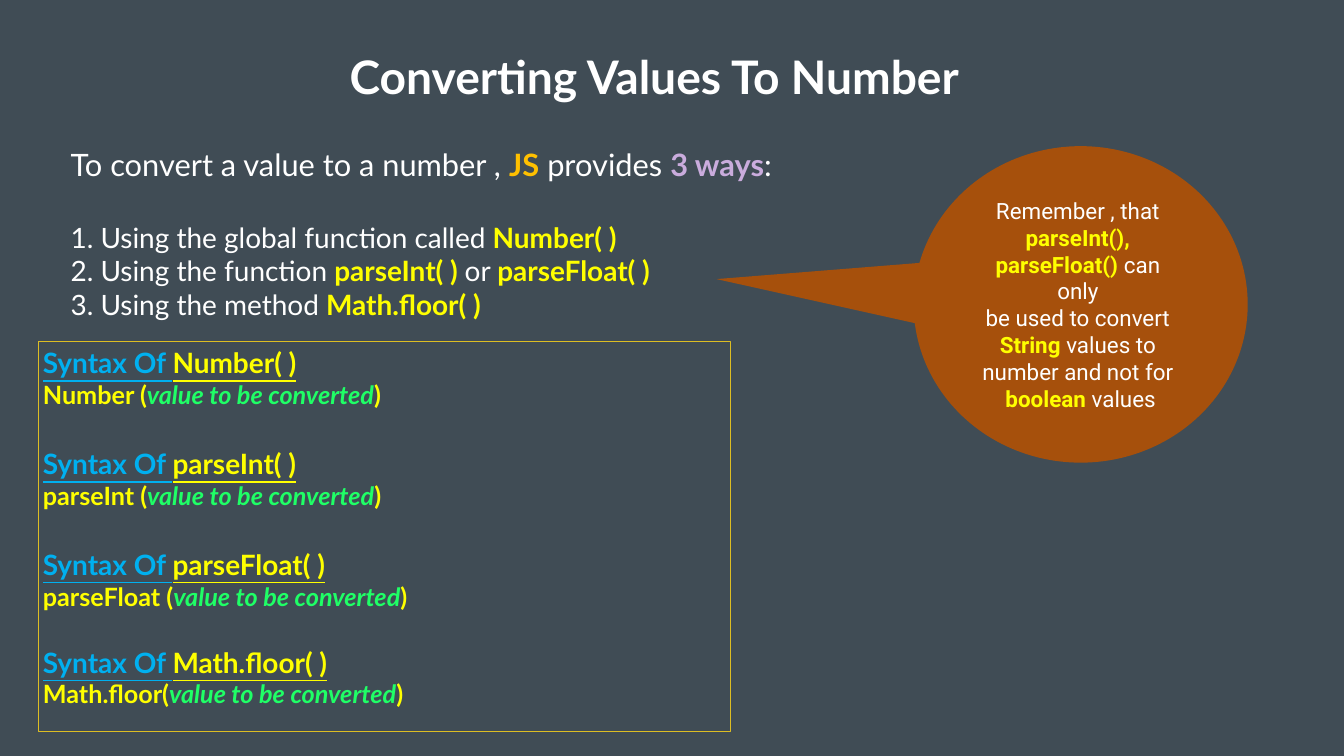
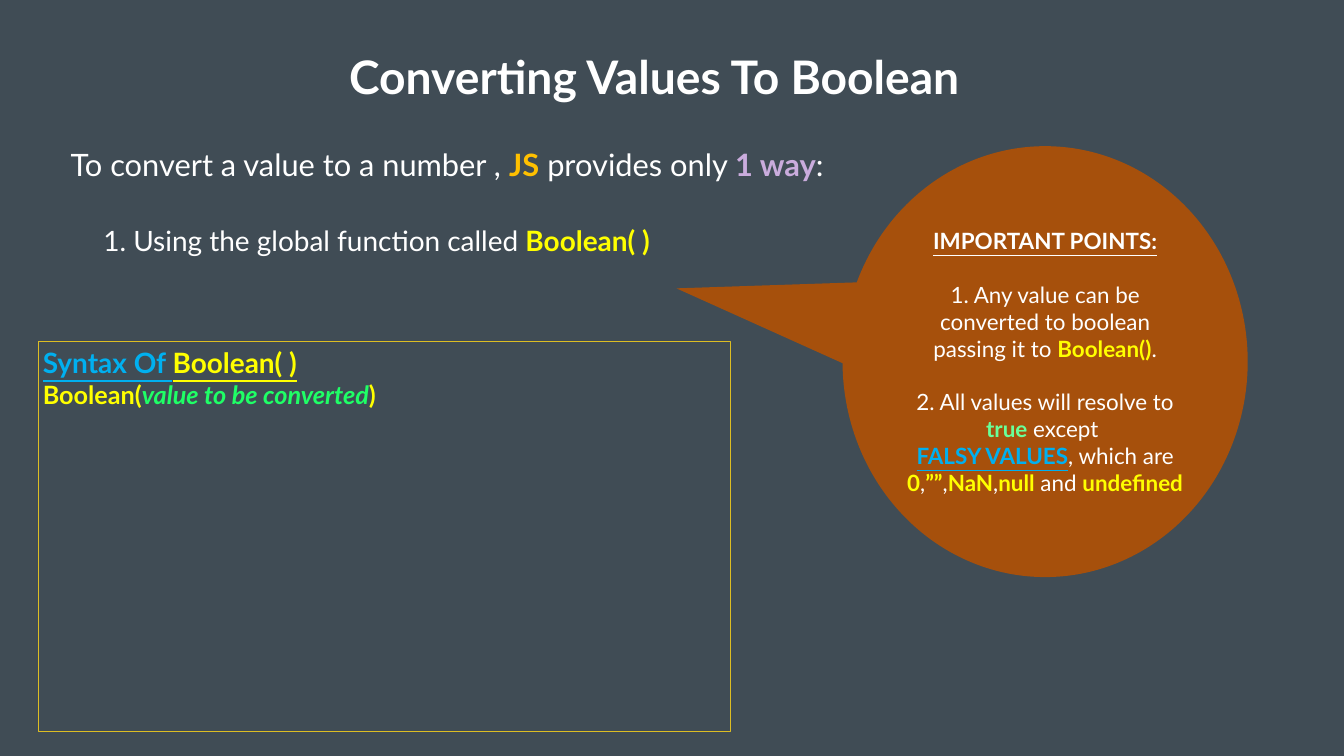
from pptx import Presentation
from pptx.dml.color import RGBColor
from pptx.enum.shapes import MSO_SHAPE
from pptx.enum.text import MSO_ANCHOR, MSO_AUTO_SIZE, PP_ALIGN
from pptx.oxml.ns import qn
from pptx.util import Inches, Pt

RECTANGLE, CALLOUT = MSO_SHAPE.RECTANGLE, MSO_SHAPE.OVAL_CALLOUT
TOP, MIDDLE = MSO_ANCHOR.TOP, MSO_ANCHOR.MIDDLE
LEFT, CENTER = PP_ALIGN.LEFT, PP_ALIGN.CENTER
NO_AUTOFIT = MSO_AUTO_SIZE.NONE

COLOURS = {
    "slate": "404C55", "white": "FFFFFF", "amber": "FFC000", "lilac": "CAACDD",
    "yellow": "FFFF00", "blue": "00B0F0", "green": "1FFF66", "mint": "69FF99",
    "gold": "DCBD23", "rust": "A6500C",
}

# Text styles: colour name and font attributes
STYLES = {
    "plain": ("white", {"bold": False}),
    "strong": ("white", {"bold": True}),
    "heading": ("white", {"bold": True, "underline": True}),
    "language": ("amber", {"bold": True}),
    "count": ("lilac", {"bold": True}),
    "code": ("yellow", {"bold": True}),
    "code heading": ("yellow", {"bold": True, "underline": True}),
    "label": ("blue", {"bold": True, "underline": True}),
    "argument": ("green", {"bold": True, "italic": True}),
    "truth": ("mint", {"bold": True}),
}

PAGES = [
    {
        "title": "Converting Values To Number",
        "intro_height": 5.05,
        "provides": " provides ",
        "ways": "3 ways",
        "list_gap": 53,
        "list_indent": 0,
        "methods": [
            [("1. Using the global function called ", "plain"), ("Number( )", "code")],
            [("2. Using the function ", "plain"), ("parseInt( ) ", "code"),
             ("or ", "plain"), ("parseFloat( )", "code")],
            [("3. Using the method ", "plain"), ("Math.floor( )", "code")],
        ],
        "syntax_height": 7.43,
        # Function name, call opening, space above
        "syntax": [("Number( )", "Number (", 0), ("parseInt( )", "parseInt (", 53),
                   ("parseFloat( )", "parseFloat (", 53),
                   ("Math.floor( )", "Math.floor(", 48)],
        "callout_at": (18.13, 2.9, 6.63, 6.28),
        "callout_tip": (-1.09, -0.08),
        "callout_font": "Roboto",
        # Space above, text parts
        "callout": [
            (0, [("Remember , that ", "plain")]),
            (0, [("parseInt(), ", "code")]),
            (0, [("parseFloat() ", "code"), ("can ", "plain")]),
            (0, [("only ", "plain")]),
            (0, [("be used to convert ", "plain")]),
            (0, [("String", "code"), (" values to ", "plain")]),
            (0, [("number and not for ", "plain")]),
            (0, [("boolean", "code"), (" values", "plain")]),
        ],
    },
    {
        "title": "Converting Values To Boolean",
        "intro_height": 3.64,
        "provides": " provides only ",
        "ways": "1 way",
        "list_gap": 57,
        "list_indent": 0.65,
        "methods": [
            [("1. Using the global function called ", "plain"), ("Boolean( )", "code")],
        ],
        "syntax_height": 2.18,
        "syntax": [("Boolean( )", "Boolean(", 0)],
        "callout_at": (16.72, 2.9, 8.04, 8.55),
        "callout_tip": (-0.91, -0.17),
        "callout_font": "Lato",
        "callout": [
            (0, [("IMPORTANT POINTS:", "heading")]),
            (38, [("1. Any value can be converted to boolean passing it to ", "plain"),
                  ("Boolean()", "code"), (".", "plain")]),
            (38, [("2. All values will resolve to ", "plain"), ("true", "truth"),
                  (" except ", "plain")]),
            (0, [("FALSY VALUES", "label"), (", which are", "plain")]),
            (0, [("0", "code"), (",", "plain"), ("””", "code"), (",", "plain"),
                 ("NaN", "code"), (",", "plain"), ("null", "code"),
                 (" and ", "plain"), ("undefined", "code")]),
        ],
    },
]


def colour(name):
    return RGBColor.from_string(COLOURS[name])


def write(box, lines, font="Lato", align=LEFT, anchor=TOP, inset=0.08):
    """Fill a box with lines of (size, space above, indent, text parts)."""
    frame = box.text_frame
    settings = {"word_wrap": True, "auto_size": NO_AUTOFIT, "vertical_anchor": anchor}
    for side in ("left", "top", "right", "bottom"):
        settings["margin_" + side] = Inches(inset)
    for name, value in settings.items():
        setattr(frame, name, value)
    for index, (size, gap, indent, parts) in enumerate(lines):
        para = frame.add_paragraph() if index else frame.paragraphs[0]
        para.alignment = align
        para.space_before = Pt(gap)
        # Indent without a bullet
        properties = para._p.get_or_add_pPr()
        properties.set("marL", str(Inches(indent)))
        properties.set("indent", "0")
        properties.append(properties.makeelement(qn("a:buNone"), {}))
        for text, style in parts:
            span = para.add_run()
            span.text = text
            colour_name, attributes = STYLES[style]
            for name, value in {"name": font, "size": Pt(size), **attributes}.items():
                setattr(span.font, name, value)
            span.font.color.rgb = colour(colour_name)


deck = Presentation()
deck.slide_width, deck.slide_height = Inches(26.67), Inches(15)

# Shared background
background = deck.slide_master.background.fill
background.solid()
background.fore_color.rgb = colour("slate")

for content in PAGES:
    page = deck.slides.add_slide(deck.slide_layouts[1])
    title, intro = page.placeholders

    # Title and introduction
    places = [(title, (0.77, 0.88, 24.43, 1.27)),
              (intro, (1.4, 2.9, 21.83, content["intro_height"]))]
    for box, place in places:
        box.left, box.top, box.width, box.height = map(Inches, place)
    write(title, [(66, 0, 0, [(content["title"], "strong")])],
          align=CENTER, anchor=MIDDLE)

    opening = [("To convert a value to a number , ", "plain"), ("JS", "language"),
               (content["provides"], "plain"), (content["ways"], "count"), (":", "plain")]
    lines = [(44, 0, 0, opening)]
    for index, parts in enumerate(content["methods"]):
        gap = 0 if index else content["list_gap"]
        lines.append((40, gap, content["list_indent"], parts))
    write(intro, lines, inset=0)

    # Syntax text
    syntax = page.shapes.add_textbox(Inches(0.77), Inches(6.78), Inches(10.18),
                                     Inches(content["syntax_height"]))
    lines = []
    for function, call, gap in content["syntax"]:
        lines.append((40, gap, 0, [("Syntax Of ", "label"), (function, "code heading")]))
        lines.append((36, 0, 0, [(call, "code"), ("value to be converted", "argument"),
                                 (")", "code")]))
    write(syntax, lines)

    # Frame around the syntax
    frame_box = page.shapes.add_shape(RECTANGLE, Inches(0.77), Inches(6.78),
                                      Inches(13.73), Inches(7.73))
    frame_box.shadow.inherit = False
    frame_box.fill.background()
    frame_box.line.color.rgb = colour("gold")
    frame_box.line.width = Pt(1)

    # Callout
    callout = page.shapes.add_shape(CALLOUT, *map(Inches, content["callout_at"]))
    callout.shadow.inherit = False
    callout.fill.solid()
    callout.fill.fore_color.rgb = colour("rust")
    callout.line.fill.background()
    for index, value in enumerate(content["callout_tip"]):
        callout.adjustments[index] = value
    write(callout, [(32, gap, 0, parts) for gap, parts in content["callout"]],
          font=content["callout_font"], align=CENTER, anchor=MIDDLE)

deck.save("out.pptx")
